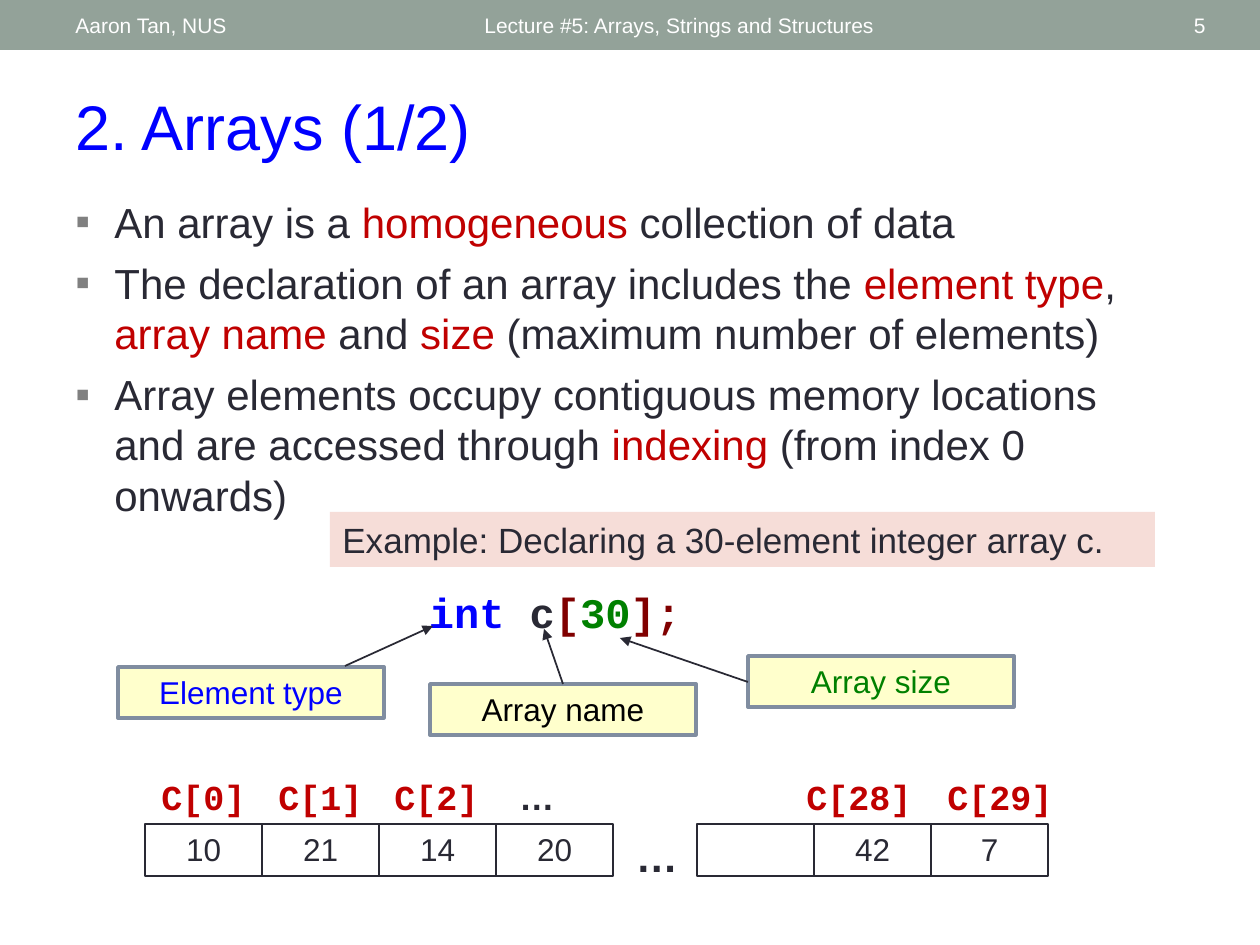
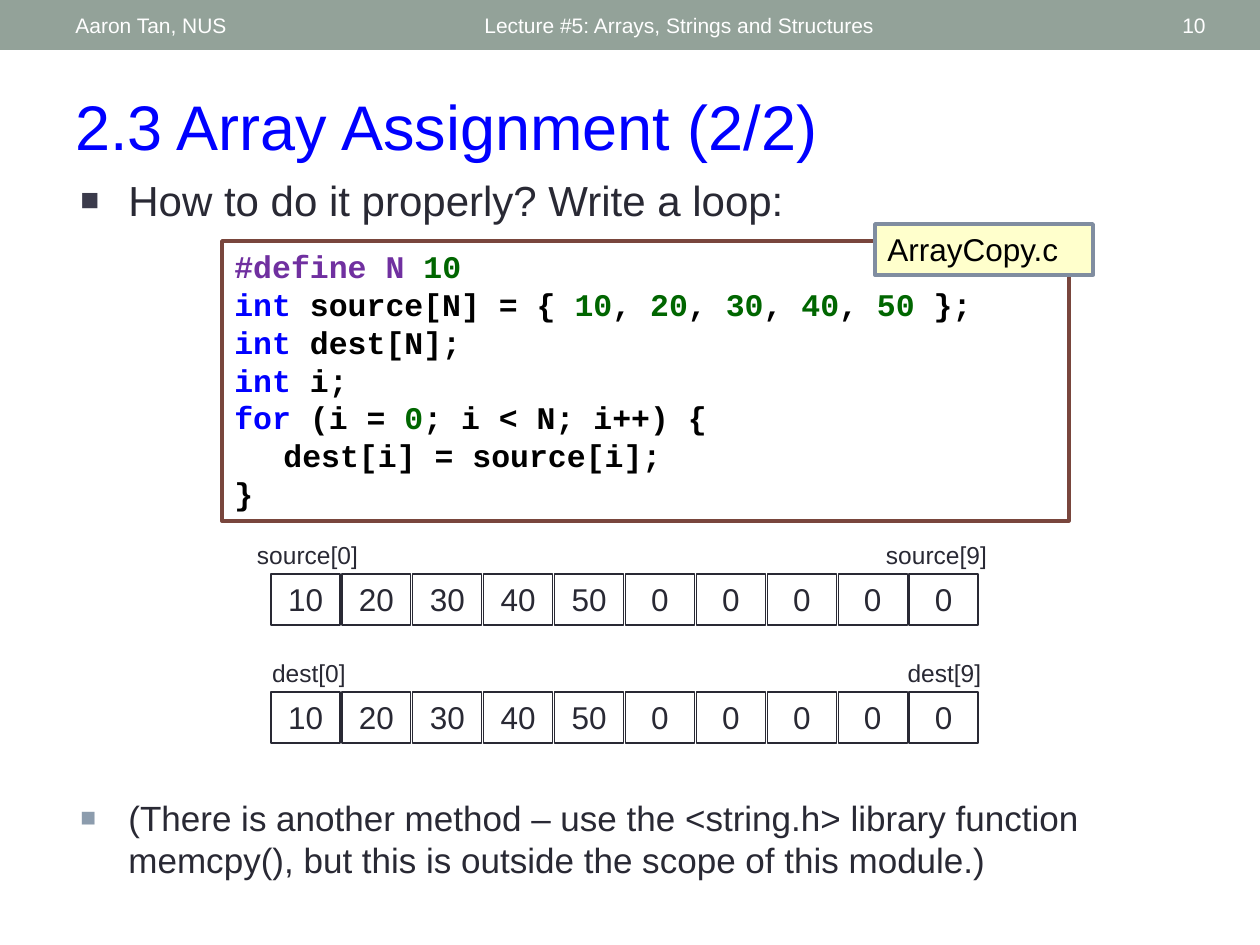
from lxml import etree
from pptx import Presentation
from pptx.dml.color import RGBColor
from pptx.enum.shapes import MSO_CONNECTOR, MSO_SHAPE
from pptx.enum.text import MSO_ANCHOR, PP_ALIGN
from pptx.oxml.ns import qn
from pptx.util import Emu, Pt

LEFT, CENTER, RIGHT = PP_ALIGN.LEFT, PP_ALIGN.CENTER, PP_ALIGN.RIGHT
TOP, MIDDLE = MSO_ANCHOR.TOP, MSO_ANCHOR.MIDDLE
RECTANGLE, STRAIGHT = MSO_SHAPE.RECTANGLE, MSO_CONNECTOR.STRAIGHT

SCALE = 914400 / 126
SANS, MONO = "Arial", "Courier New"
INK, BLACK, WHITE = "292934", "000000", "FFFFFF"
BLUE, RED, GREEN, MAROON = "0000FF", "C00000", "008000", "800000"
PURPLE, NUMBER = "7030A0", "006600"
BAND, NOTE_FILL, NOTE_LINE = "93A299", "FFFFCC", "808DA0"
EXAMPLE_FILL, CODE_LINE = "F6DDD8", "79463D"


def px(length):
    """Turn pixels into EMU."""
    return Emu(round(length * SCALE))


def rgb(value):
    """Turn a hex string into a colour."""
    return RGBColor.from_string(value)


def add_node(parent, tag, **attributes):
    """Append an XML element with attributes to a parent."""
    node = etree.SubElement(parent, qn(tag))
    for name, value in attributes.items():
        node.set(name, str(value))
    return node


def add_bullet(para, char, color, indent, percent=100):
    """Give a paragraph a hanging bullet."""
    properties = para._p.get_or_add_pPr()
    properties.set("marL", str(px(indent)))
    properties.set("indent", str(-px(indent)))
    add_node(add_node(properties, "a:buClr"), "a:srgbClr", val=color)
    add_node(properties, "a:buSzPct", val=percent * 1000)
    add_node(properties, "a:buFont", typeface=SANS)
    add_node(properties, "a:buChar", char=char)


def add_tab(para, position):
    """Give a paragraph one left tab stop."""
    stops = add_node(para._p.get_or_add_pPr(), "a:tabLst")
    add_node(stops, "a:tab", pos=px(position), algn="l")


def add_box(page, box, fill=None, line=None, width=1):
    """Place a rectangle, or a plain text box without fill and line."""
    place = [px(length) for length in box]
    if not (fill or line):
        return page.shapes.add_textbox(*place)
    shape = page.shapes.add_shape(RECTANGLE, *place)
    shape.shadow.inherit = False
    if fill:
        shape.fill.solid()
        shape.fill.fore_color.rgb = rgb(fill)
    else:
        shape.fill.background()
    if line:
        shape.line.color.rgb = rgb(line)
        shape.line.width = Pt(width)
    else:
        shape.line.fill.background()
    return shape


def add_text(page, box, content, size=18, color=INK, font=SANS, bold=False,
             align=LEFT, anchor=TOP, before=0, bullet=None, tab=None, **style):
    """Write a string, or paragraphs of plain and (text, colour) spans."""
    frame = add_box(page, box, **style).text_frame
    frame.word_wrap = True
    frame.vertical_anchor = anchor
    paragraphs = [[content]] if isinstance(content, str) else content
    for index, spans in enumerate(paragraphs):
        para = frame.paragraphs[0] if index == 0 else frame.add_paragraph()
        para.alignment = align
        para.space_before = Pt(before)
        if bullet:
            add_bullet(para, *bullet)
        if tab:
            add_tab(para, tab)
        for part in spans:
            text, shade = (part, color) if isinstance(part, str) else part
            span = para.add_run()
            span.text = text
            span.font.size = Pt(size)
            span.font.name = font
            span.font.bold = bold
            span.font.color.rgb = rgb(shade)


def add_arrow(page, start, end):
    """Draw a thin line with a triangle at its end."""
    arrow = page.shapes.add_connector(STRAIGHT, *map(px, start + end))
    arrow.line.color.rgb = rgb(INK)
    arrow.line.width = Pt(1)
    add_node(arrow.line._get_or_add_ln(), "a:tailEnd", type="triangle")
    add_node(arrow._element.spPr, "a:effectLst")


def add_note(page, box, text, color=BLACK, align=CENTER):
    """Place a yellow label."""
    add_text(page, box, text, color=color, align=align,
             fill=NOTE_FILL, line=NOTE_LINE, width=2.08)


def add_cells(page, box, values, pitch, **style):
    """Lay out array cells at an equal pitch from the first cell's box."""
    left, top, width, height = box
    for index, value in enumerate(values):
        add_text(page, (left + index * pitch, top, width, height), value,
                 align=CENTER, line=INK, **style)


def start_page(deck, title, number):
    """Add a blank page with header band and title."""
    page = deck.slides.add_slide(deck.slide_layouts[6])
    add_box(page, (0, 0, 1260, 50), fill=BAND)
    header = dict(size=12, color=WHITE, anchor=MIDDLE)
    add_text(page, (63, 3, 399, 45), "Aaron Tan, NUS", **header)
    add_text(page, (472, 3, 567, 45),
             "Lecture #5: Arrays, Strings and Structures", **header)
    add_text(page, (1099, 3, 119, 45), number, align=RIGHT, **header)
    add_text(page, (63, 81, 1134, 89), title, size=36, color=BLUE)
    return page


def add_declaration(page, box):
    """Show the declaration with a labelled arrow to each part."""
    left, top, width, height = box
    add_text(page, (left + 273, top, 328, 64),
             [[("int ", BLUE), "c", ("[", MAROON), ("30", GREEN),
               ("];", MAROON)]],
             size=24, font=MONO, bold=True, align=CENTER)
    labels = [
        ("Array name", BLACK, (312, 104), (445, 104), (426, 49)),
        ("Element type", BLUE, (0, 87), (227, 86), (315, 46)),
        ("Array size", GREEN, (630, 76), (630, 102), (502, 58)),
    ]
    for text, color, corner, start, end in labels:
        add_note(page, (left + corner[0], top + corner[1], 266, 51),
                 text, color)
        add_arrow(page, (left + start[0], top + start[1]),
                  (left + end[0], top + end[1]))


def add_memory(page, box):
    """Show the indexed cells of the 30-element array."""
    left, top, width, height = box
    pitch, row = 117, top + 55
    add_cells(page, (left, row, pitch, 52), ["10", "21", "14", "20"], pitch)
    add_cells(page, (left + 552, row, pitch, 52), ["", "42", "7"], pitch)
    add_text(page, (left + 475, row, 74, 49), "…", size=24, bold=True,
             align=CENTER)
    add_text(page, (left + 358, top, 68, 55), "…", size=20, bold=True,
             align=CENTER)
    names = [("C[0]", 0, 117), ("C[1]", 117, 117), ("C[2]", 233, 117),
             ("C[28]", 644, 140), ("C[29]", 785, 140)]
    for name, offset, wide in names:
        add_text(page, (left + offset, top, wide, 55), name, size=20,
                 color=RED, font=MONO, bold=True, align=CENTER)


def add_code(page, box):
    """Show the array copy program with its file name."""
    left, top, width, height = box
    source = [("int ", BLUE), "source[N] = { "]
    for value in (10, 20, 30, 40):
        source += [(str(value), NUMBER), ", "]
    source += [("50", NUMBER), " };"]
    lines = [
        [("#define N ", PURPLE), ("10", NUMBER)],
        source,
        [("int ", BLUE), "dest[N];"],
        [("int ", BLUE), "i;"],
        [("for", BLUE), " (i = ", ("0", NUMBER), "; i < N; i++) {"],
        ["\tdest[i] = source[i];"],
        ["}"],
    ]
    add_text(page, box, lines, color=BLACK, font=MONO, bold=True, tab=49,
             fill=WHITE, line=CODE_LINE, width=2.08)
    add_note(page, (left + 653, top - 17, 218, 51), "ArrayCopy.c", align=LEFT)


def add_array(page, box, name, first, last):
    """Show a ten-cell array, its end labels given as (offset, width)."""
    left, top, width, height = box
    for index, (offset, wide) in ((0, first), (9, last)):
        add_text(page, (left + offset, top, wide, 43), f"{name}[{index}]",
                 size=14, align=CENTER)
    values = ["10", "20", "30", "40", "50"] + ["0"] * 5
    add_cells(page, (left, top + 40, 69, 51), values, width / 10,
              fill=WHITE, width=0.75)


def build_arrays(deck):
    """Build the page that introduces arrays."""
    page = start_page(deck, "2. Arrays (1/2)", "5")
    points = [
        ["An array is a ", ("homogeneous", RED), " collection of data "],
        ["The declaration of an array includes the ", ("element type", RED),
         ", ", ("array name ", RED), "and ", ("size", RED),
         " (maximum number of elements)"],
        ["Array elements occupy contiguous memory locations and are "
         "accessed through ", ("indexing", RED), " (from index 0 onwards)"],
    ]
    add_text(page, (63, 190, 1104, 339), points, size=24, before=6,
             bullet=("▪", "808080", 39))
    add_declaration(page, (118, 580, 896, 155))
    add_memory(page, (145, 769, 925, 107))
    add_text(page, (330, 512, 825, 55),
             "Example: Declaring a 30-element integer array c.",
             size=20, fill=EXAMPLE_FILL)


def build_assignment(deck):
    """Build the page that copies an array in a loop."""
    page = start_page(deck, "2.3 Array Assignment (2/2)", "10")
    add_text(page, (68, 168, 1120, 106),
             "How to do it properly? Write a loop:", size=24, before=12,
             bullet=("■", "3B3B4B", 48, 75))
    add_text(page, (68, 790, 1120, 113),
             "(There is another method – use the <string.h> library function "
             "memcpy(), but this is outside the scope of this module.)",
             size=20, before=12, bullet=("■", "8C9CAD", 48, 75))
    add_array(page, (271, 534, 709, 91), "source", (-29, 131), (598, 135))
    add_array(page, (271, 652, 709, 91), "dest", (-12, 100), (623, 101))
    add_code(page, (222, 241, 847, 280))


def main():
    """Build and save the deck."""
    deck = Presentation()
    deck.slide_width, deck.slide_height = px(1260), px(945)
    build_arrays(deck)
    build_assignment(deck)
    deck.save("out.pptx")


main()
